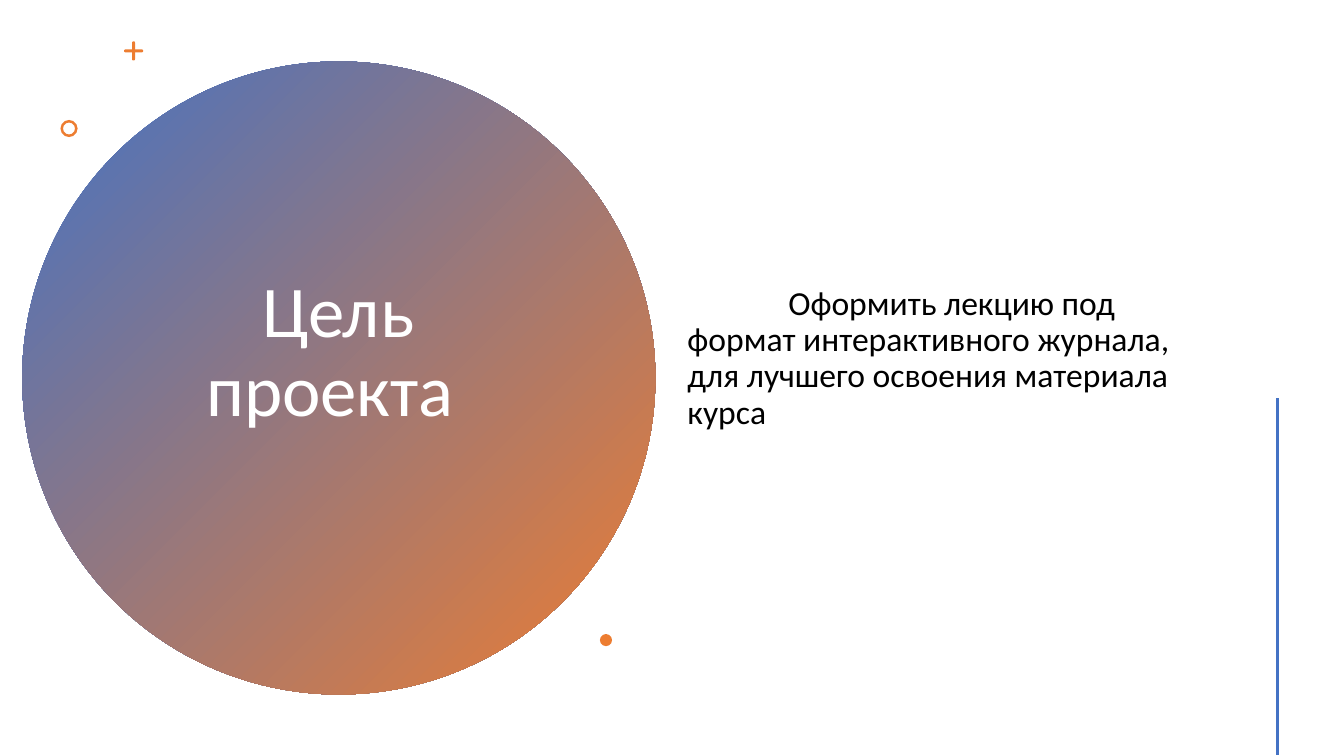
from dataclasses import dataclass

from pptx import Presentation
from pptx.dml.color import RGBColor as Rgb
from pptx.enum.shapes import MSO_CONNECTOR as Link, MSO_SHAPE as Kind
from pptx.enum.text import MSO_ANCHOR as Anchor, PP_ALIGN as Align
from pptx.oxml.ns import qn
from pptx.util import Inches, Pt


@dataclass(frozen=True)
class Theme:
    font: str = "Calibri"
    blue: Rgb = Rgb(0x44, 0x72, 0xC4)
    orange: Rgb = Rgb(0xED, 0x7D, 0x31)
    white: Rgb = Rgb(0xFF, 0xFF, 0xFF)
    black: Rgb = Rgb(0, 0, 0)
    title: int = 52
    body: int = 24
    rule: int = 2


THEME = Theme()


def add_mark(slide, kind, left, top, width, height):
    """Add an orange preset shape without outline or shadow."""
    mark = slide.shapes.add_shape(
        kind, Inches(left), Inches(top), Inches(width), Inches(height))
    mark.shadow.inherit = False
    mark.line.fill.background()
    mark.fill.solid()
    mark.fill.fore_color.rgb = THEME.orange
    return mark


def add_disc(slide, left, top, size):
    """Add the large circle, shaded from top left to bottom right."""
    disc = add_mark(slide, Kind.OVAL, left, top, size, size)
    disc.fill.gradient()
    disc.fill.gradient_angle = 315
    stops = zip(disc.fill.gradient_stops, (0, 1), (THEME.blue, THEME.orange))
    for stop, place, color in stops:
        stop.position = place
        stop.color.rgb = color


def add_plus(slide, left, top, size, thick):
    """Add a plus sign made of two bars with round ends."""
    gap = (size - thick) / 2
    for bar in ((left, top + gap, size, thick), (left + gap, top, thick, size)):
        add_mark(slide, Kind.ROUNDED_RECTANGLE, *bar).adjustments[0] = 0.5


def add_rule(slide, left, top, end):
    """Add a vertical line."""
    rule = slide.shapes.add_connector(
        Link.STRAIGHT, Inches(left), Inches(top), Inches(left), Inches(end))
    rule.line.color.rgb = THEME.blue
    rule.line.width = Pt(THEME.rule)
    props = rule._element.spPr
    props.append(props.makeelement(qn("a:effectLst"), {}))


def add_text(slide, text, left, top, width, height, size, color, align):
    """Add a wrapped text box, centred vertically."""
    box = slide.shapes.add_textbox(
        Inches(left), Inches(top), Inches(width), Inches(height))
    frame = box.text_frame
    frame.word_wrap = True
    frame.vertical_anchor = Anchor.MIDDLE
    para = frame.paragraphs[0]
    para.text = text
    para.alignment = align
    para.line_spacing = 0.9
    para.font.name = THEME.font
    para.font.size = Pt(size)
    para.font.color.rgb = color
    return para


def main():
    deck = Presentation()
    deck.slide_width, deck.slide_height = Inches(13.33), Inches(7.5)
    slide = deck.slides.add_slide(deck.slide_layouts[6])

    # Circle and small ornaments
    add_disc(slide, 0.22, 0.61, 6.28)
    add_plus(slide, 1.23, 0.41, 0.19, 0.03)
    ring = add_mark(slide, Kind.DONUT, 0.6, 1.19, 0.17, 0.17)
    ring.adjustments[0] = 0.15
    add_mark(slide, Kind.OVAL, 5.95, 6.29, 0.12, 0.12)
    add_rule(slide, 12.67, 3.95, 7.49)

    # Goal statement with an indented first line
    goal = add_text(
        slide, "Оформить лекцию под формат интерактивного журнала, "
        "для лучшего освоения материала курса",
        6.72, 2.47, 5.35, 2.18, THEME.body, THEME.black, Align.LEFT)
    goal._p.get_or_add_pPr().set("indent", str(Inches(1)))

    # Title
    add_text(slide, "Цель проекта ", 1.36, 1.17, 3.99, 4.67,
             THEME.title, THEME.white, Align.CENTER)

    deck.save("out.pptx")


if __name__ == "__main__":
    main()
